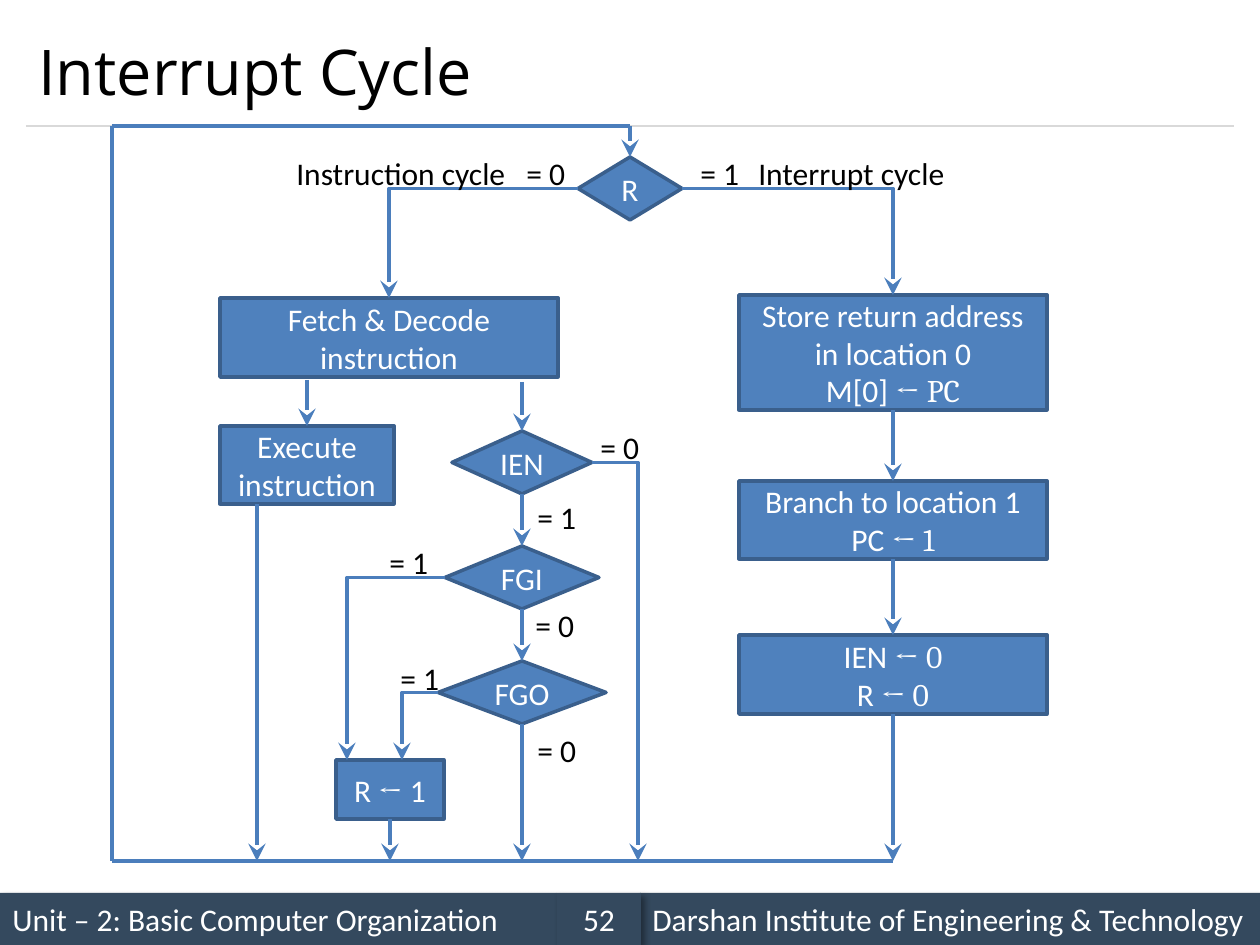
from dataclasses import dataclass
from itertools import cycle, pairwise

from lxml.etree import SubElement
from pptx import Presentation
from pptx.dml.color import RGBColor
from pptx.enum.shapes import MSO_CONNECTOR, MSO_SHAPE
from pptx.enum.text import MSO_ANCHOR, MSO_AUTO_SIZE, PP_ALIGN
from pptx.oxml.ns import qn
from pptx.util import Pt

PX = 914400 / 126
BLACK = RGBColor(0x00, 0x00, 0x00)
WHITE = RGBColor(0xFF, 0xFF, 0xFF)
NAVY = RGBColor(0x34, 0x49, 0x5E)
BLUE = RGBColor(0x4F, 0x81, 0xBD)
BORDER = RGBColor(0x3A, 0x5F, 0x8C)
ARROW = RGBColor(0x4B, 0x7E, 0xBC)
RULE = RGBColor(0xD9, 0xD9, 0xD9)
TOP, LEFT, BOTTOM, RIGHT = range(4)
TOP_Y, BOTTOM_Y, LOOP_X = 126, 861, 112


@dataclass
class Node:
    """A flowchart step; each line alternates Calibri and Cambria runs."""
    name: str
    x: int
    y: int
    w: int
    h: int
    lines: list[tuple[str, ...]]
    shape: MSO_SHAPE = MSO_SHAPE.RECTANGLE


@dataclass
class Link:
    """Each end is (x, y) or (node name, side)."""
    start: tuple
    end: tuple
    arrow: bool = True
    bent: bool = False


@dataclass
class Label:
    text: str
    x: int
    y: int
    w: int = 64


def decision(name: str, cx: int, y: int, w: int) -> Node:
    return Node(name, cx - w // 2, y, w, 63, [(name,)], MSO_SHAPE.FLOWCHART_DECISION)


NODES = [
    decision("R", 630, 157, 104),
    Node("fetch", 220, 298, 338, 79, [("Fetch & Decode instruction",)]),
    Node("store", 739, 295, 308, 115,
         [("Store return address in location 0",), ("M[0] ", "← PC")]),
    Node("execute", 220, 426, 174, 78, [("Execute instruction",)]),
    decision("IEN", 522, 431, 140),
    decision("FGI", 522, 546, 154),
    decision("FGO", 522, 661, 168),
    Node("set R", 336, 760, 108, 59, [("R ", "←", " 1")]),
    Node("branch", 739, 481, 308, 78, [("Branch to location 1",), ("PC ", "← 1")]),
    Node("clear", 739, 635, 308, 79, [("IEN ", "← 0"), ("R ", "← 0")]),
]

LOOP = [(893, BOTTOM_Y), (LOOP_X, BOTTOM_Y), (LOOP_X, TOP_Y), (630, TOP_Y)]
LINKS = [
    Link((522, 382), ("IEN", TOP)),
    Link(("IEN", BOTTOM), ("FGI", TOP)),
    Link(("FGI", BOTTOM), ("FGO", TOP)),
    Link(("FGO", BOTTOM), (522, BOTTOM_Y)),
    Link(("store", BOTTOM), ("branch", TOP)),
    Link(("branch", BOTTOM), ("clear", TOP)),
    Link(("clear", BOTTOM), (893, BOTTOM_Y)),
    Link((307, 380), ("execute", TOP)),
    Link((257, 504), (257, BOTTOM_Y)),
    Link(("set R", BOTTOM), (390, BOTTOM_Y)),
    Link(("R", LEFT), ("fetch", TOP), bent=True),
    Link(("R", RIGHT), ("store", TOP), bent=True),
    Link(("IEN", RIGHT), (638, BOTTOM_Y), bent=True),
    Link(("FGI", LEFT), (347, 760), bent=True),
    Link(("FGO", LEFT), (402, 760), bent=True),
    *(Link(a, b, arrow=False) for a, b in pairwise(LOOP)),
    Link(LOOP[-1], ("R", TOP)),
]

LABELS = [
    Label("Instruction cycle", 284, 148, 237), Label("= 0", 514, 148),
    Label("= 1", 688, 148), Label("Interrupt cycle", 746, 148, 213),
    Label("= 0", 588, 422), Label("= 1", 525, 492),
    Label("= 1", 377, 537), Label("= 0", 523, 600),
    Label("= 1", 388, 653), Label("= 0", 525, 725),
]


def px(n: int) -> int:
    return round(n * PX)


def write(sp, lines, *, color=WHITE, size=18, align=PP_ALIGN.LEFT,
          fonts=("Calibri", "Cambria"), anchor=MSO_ANCHOR.MIDDLE, wrap=True):
    tf = sp.text_frame
    tf.word_wrap = wrap
    tf.vertical_anchor = anchor
    for i, line in enumerate(lines):
        p = tf.add_paragraph() if i else tf.paragraphs[0]
        p.alignment = align
        for text, font in zip(line, cycle(fonts)):
            r = p.add_run()
            r.text = text
            r.font.name, r.font.size = font, Pt(size)
            r.font.color.rgb = color


def add_box(s, kind: MSO_SHAPE, x: int, y: int, w: int, h: int, fill: RGBColor):
    sp = s.shapes.add_shape(kind, px(x), px(y), px(w), px(h))
    sp.shadow.inherit = False
    sp.fill.solid()
    sp.fill.fore_color.rgb = fill
    return sp


def add_footer(s, x: int, w: int, text: str, align=PP_ALIGN.LEFT) -> None:
    sp = add_box(s, MSO_SHAPE.RECTANGLE, x, 893, w, 52, NAVY)
    sp.line.fill.background()
    effects = sp._element.spPr.find(qn("a:effectLst"))
    shadow = SubElement(effects, qn("a:outerShdw"), blurRad="50800",
                        dist="38100", dir="2700000", algn="tl", rotWithShape="0")
    black = SubElement(shadow, qn("a:srgbClr"), val="000000")
    SubElement(black, qn("a:alpha"), val="40000")
    write(sp, [(text,)], align=align)


def add_node(s, node: Node):
    sp = add_box(s, node.shape, node.x, node.y, node.w, node.h, BLUE)
    sp.line.color.rgb, sp.line.width = BORDER, Pt(2)
    write(sp, node.lines, align=PP_ALIGN.CENTER)
    return sp


def add_line(s, start=(0, 0), end=(0, 0), color=ARROW, width=2.0,
             kind=MSO_CONNECTOR.STRAIGHT):
    c = s.shapes.add_connector(kind, *map(px, (*start, *end)))
    c.line.color.rgb, c.line.width = color, Pt(width)
    SubElement(c._element.spPr, qn("a:effectLst"))
    return c


def add_link(s, link: Link, shapes: dict) -> None:
    ends = [p if p[0] not in shapes else (0, 0) for p in (link.start, link.end)]
    kind = MSO_CONNECTOR.ELBOW if link.bent else MSO_CONNECTOR.STRAIGHT
    c = add_line(s, *ends, kind=kind)
    for (key, side), connect in ((link.start, c.begin_connect), (link.end, c.end_connect)):
        if key in shapes:
            connect(shapes[key], side)
    if link.bent:
        c._element.spPr.find(qn("a:prstGeom")).set("prst", "bentConnector2")
    if link.arrow:
        SubElement(c.line._get_or_add_ln(), qn("a:tailEnd"),
                   type="stealth", w="lg", len="lg")


def add_label(s, label: Label) -> None:
    sp = s.shapes.add_textbox(px(label.x), px(label.y), px(label.w), px(50))
    write(sp, [(label.text,)], color=BLACK, anchor=MSO_ANCHOR.TOP, wrap=False)
    sp.text_frame.auto_size = MSO_AUTO_SIZE.SHAPE_TO_FIT_TEXT


def main() -> None:
    prs = Presentation()
    prs.slide_width, prs.slide_height = px(1260), px(945)
    s = prs.slides.add_slide(prs.slide_layouts[6])
    add_footer(s, 0, 557, "Unit – 2: Basic Computer Organization")
    add_line(s, (26, TOP_Y), (1234, TOP_Y), RULE, 0.75)
    add_footer(s, 640, 620, "Darshan Institute of Engineering & Technology")
    add_footer(s, 557, 84, "52", PP_ALIGN.CENTER)
    title = s.shapes.add_textbox(px(26), px(15), px(1207), px(111))
    write(title, [("Interrupt Cycle",)], color=BLACK, size=36, fonts=("Open Sans",))
    shapes = {node.name: add_node(s, node) for node in NODES}
    for link in LINKS:
        add_link(s, link, shapes)
    for label in LABELS:
        add_label(s, label)
    prs.save("out.pptx")


if __name__ == "__main__":
    main()
